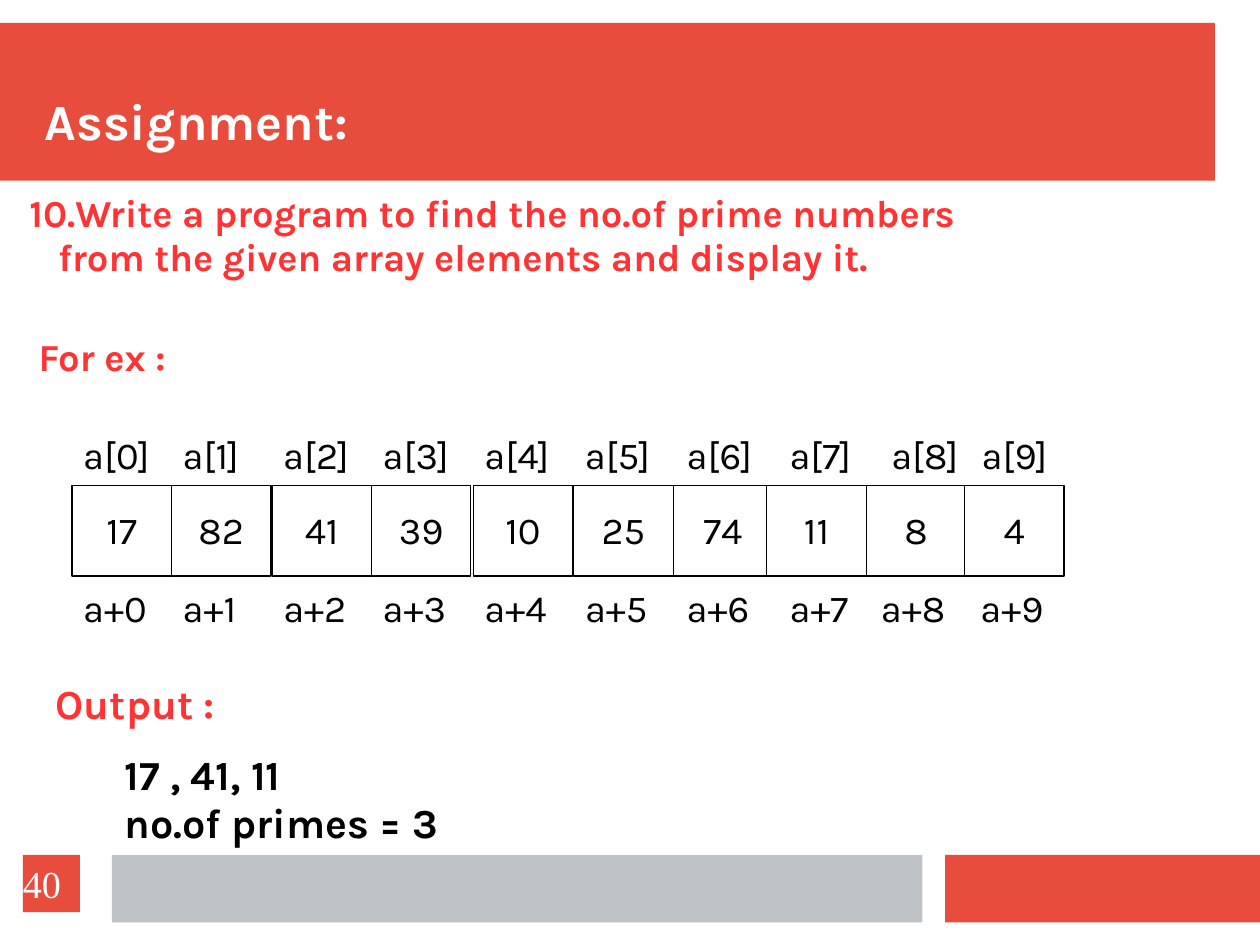
from dataclasses import dataclass

from pptx import Presentation
from pptx.dml.color import RGBColor
from pptx.enum.shapes import MSO_SHAPE
from pptx.enum.text import MSO_ANCHOR, MSO_AUTO_SIZE, PP_ALIGN
from pptx.shapes.autoshape import Shape
from pptx.slide import Slide
from pptx.text.text import TextFrame
from pptx.util import Inches, Pt

CORAL = RGBColor(0xE7, 0x4C, 0x3C)
RED = RGBColor(0xFF, 0x33, 0x33)
GREY = RGBColor(0xBD, 0xC3, 0xC7)
WHITE = RGBColor(0xFF, 0xFF, 0xFF)
BLACK = RGBColor(0, 0, 0)


@dataclass(frozen=True)
class Box:
    left: float
    top: float
    width: float
    height: float

    def lengths(self) -> list[int]:
        return [Inches(n) for n in (self.left, self.top, self.width, self.height)]


@dataclass(frozen=True)
class Style:
    size: int = 24
    color: RGBColor = BLACK
    bold: bool = False
    font: str = "Karla"
    align: PP_ALIGN = PP_ALIGN.LEFT
    anchor: MSO_ANCHOR = MSO_ANCHOR.TOP
    inset: bool = True
    spacing: float = 0.97


@dataclass(frozen=True)
class Cell:
    value: int
    left: float
    index: float  # left edge of the label above
    address: float  # left edge of the label below


@dataclass(frozen=True)
class Note:
    box: Box
    lines: tuple[str, ...]
    style: Style
    indent: float = 0  # left margin of the second line


BANDS = (
    (Box(0, 0.2, 10.63, 1.38), CORAL),
    (Box(8.27, 7.48, 2.76, 0.59), CORAL),
    (Box(0.98, 7.48, 7.09, 0.59), GREY),
)
CELLS = (
    Cell(17, 0.63, 0.63, 0.63),
    Cell(82, 1.5, 1.5, 1.5),
    Cell(41, 2.38, 2.38, 2.38),
    Cell(39, 3.25, 3.25, 3.25),
    Cell(10, 4.14, 4.14, 4.14),
    Cell(25, 5.02, 5.02, 5.02),
    Cell(74, 5.89, 5.91, 5.91),
    Cell(11, 6.71, 6.81, 6.81),
    Cell(8, 7.58, 7.7, 7.61),
    Cell(4, 8.44, 8.49, 8.48),
)
LABEL = Style()
VALUE = Style(align=PP_ALIGN.CENTER, anchor=MSO_ANCHOR.MIDDLE)
TITLE = Style(32, WHITE, True, anchor=MSO_ANCHOR.BOTTOM, inset=False)
NUMBER = Style(24, WHITE, font="Times New Roman", anchor=MSO_ANCHOR.MIDDLE,
               inset=False, spacing=1.0)
NOTES = (
    Note(Box(0.16, 1.63, 9.56, 0.89),
         ("10.Write a program to find the no.of prime numbers",
          "from the given array elements and display it."),
         Style(24, RED, True), 0.25),
    Note(Box(0.24, 2.89, 1.73, 0.5), ("For ex :",), Style(24, RED, True)),
    Note(Box(0.99, 6.53, 3.58, 0.95), ("17 , 41, 11", "no.of primes = 3"),
         Style(26, BLACK, True)),
    Note(Box(0.39, 5.91, 2.02, 0.53), ("Output :",), Style(26, RED, True)),
)


def write(frame: TextFrame, lines: tuple[str, ...], style: Style,
          indent: float = 0) -> None:
    frame.word_wrap = True
    frame.auto_size = MSO_AUTO_SIZE.NONE
    frame.vertical_anchor = style.anchor
    frame.margin_left = frame.margin_right = Inches(0.1 if style.inset else 0)
    frame.margin_top = frame.margin_bottom = Inches(0.05 if style.inset else 0)
    for row, line in enumerate(lines):
        para = frame.add_paragraph() if row else frame.paragraphs[0]
        para.alignment = style.align
        para.line_spacing = style.spacing
        if row and indent:
            para._p.get_or_add_pPr().set("marL", str(Inches(indent)))
        run = para.add_run()
        run.text = line
        run.font.name = style.font
        run.font.size = Pt(style.size)
        run.font.bold = style.bold
        run.font.color.rgb = style.color


def add_rect(slide: Slide, box: Box, fill: RGBColor,
             line: RGBColor | None = None) -> Shape:
    shape = slide.shapes.add_shape(MSO_SHAPE.RECTANGLE, *box.lengths())
    shape.shadow.inherit = False
    shape.fill.solid()
    shape.fill.fore_color.rgb = fill
    if line is None:
        shape.line.fill.background()
    else:
        shape.line.color.rgb = line
        shape.line.width = Pt(0.75)
    return shape


def add_note(slide: Slide, note: Note) -> None:
    shape = slide.shapes.add_textbox(*note.box.lengths())
    write(shape.text_frame, note.lines, note.style, note.indent)


def add_title(slide: Slide, text: str) -> None:
    """Place the title in front of the bands."""
    title = slide.shapes.title
    slide.shapes._spTree.append(title._element)
    title.left, title.top, title.width, title.height = Box(
        0.39, 0.39, 10.19, 0.94).lengths()
    write(title.text_frame, (text,), TITLE)


def add_array(slide: Slide) -> None:
    for place, cell in enumerate(CELLS):
        rect = add_rect(slide, Box(cell.left, 4.25, 0.87, 0.79), WHITE, BLACK)
        write(rect.text_frame, (str(cell.value),), VALUE)
        add_note(slide, Note(Box(cell.index, 3.75, 0.87, 0.5),
                             (f"a[{place}]",), LABEL))
        add_note(slide, Note(Box(cell.address, 5.09, 0.89, 0.5),
                             (f"a+{place}",), LABEL))


def main() -> None:
    deck = Presentation()
    deck.slide_width, deck.slide_height = Pt(793.75), Pt(595.25)
    slide = deck.slides.add_slide(deck.slide_layouts[5])
    for box, color in BANDS:
        add_rect(slide, box, color)
    add_title(slide, "Assignment:")
    add_array(slide)
    for note in NOTES:
        add_note(slide, note)
    badge = add_rect(slide, Box(0.2, 7.48, 0.5, 0.5), CORAL)
    write(badge.text_frame, ("40",), NUMBER)
    deck.save("out.pptx")


if __name__ == "__main__":
    main()
